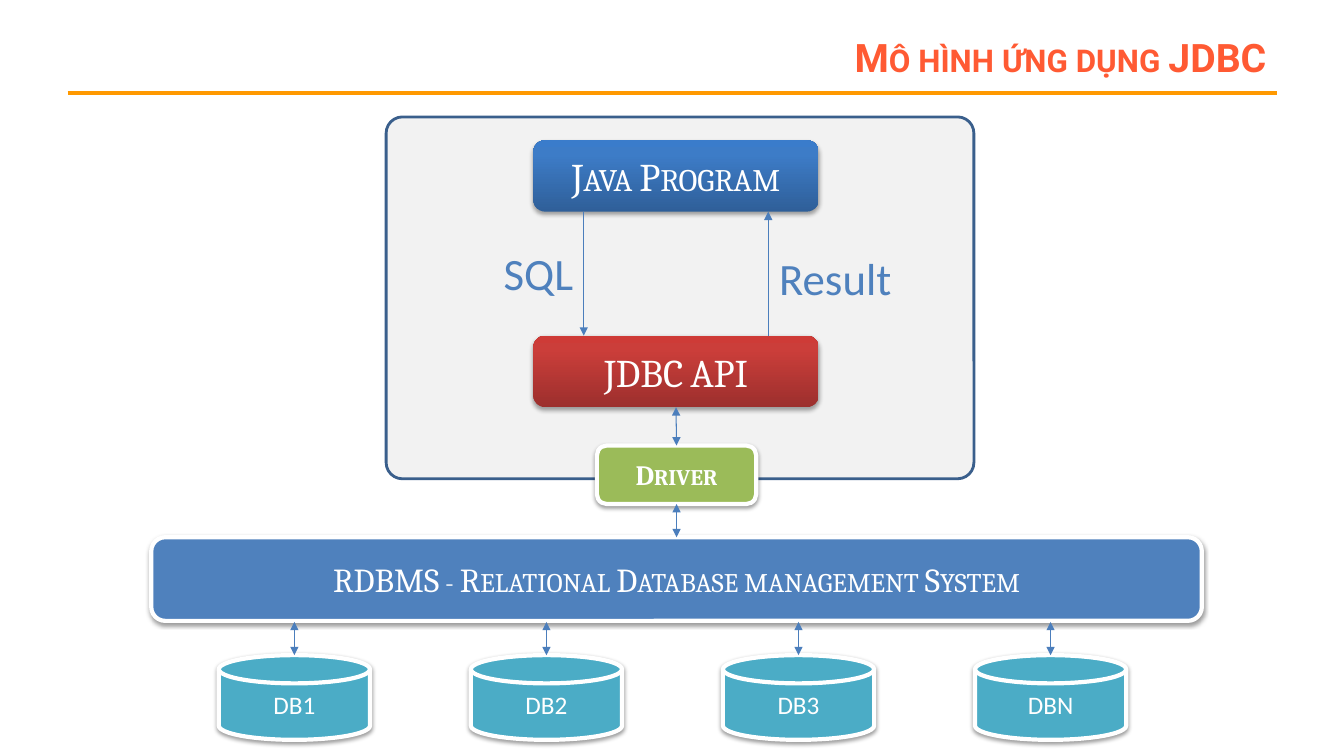
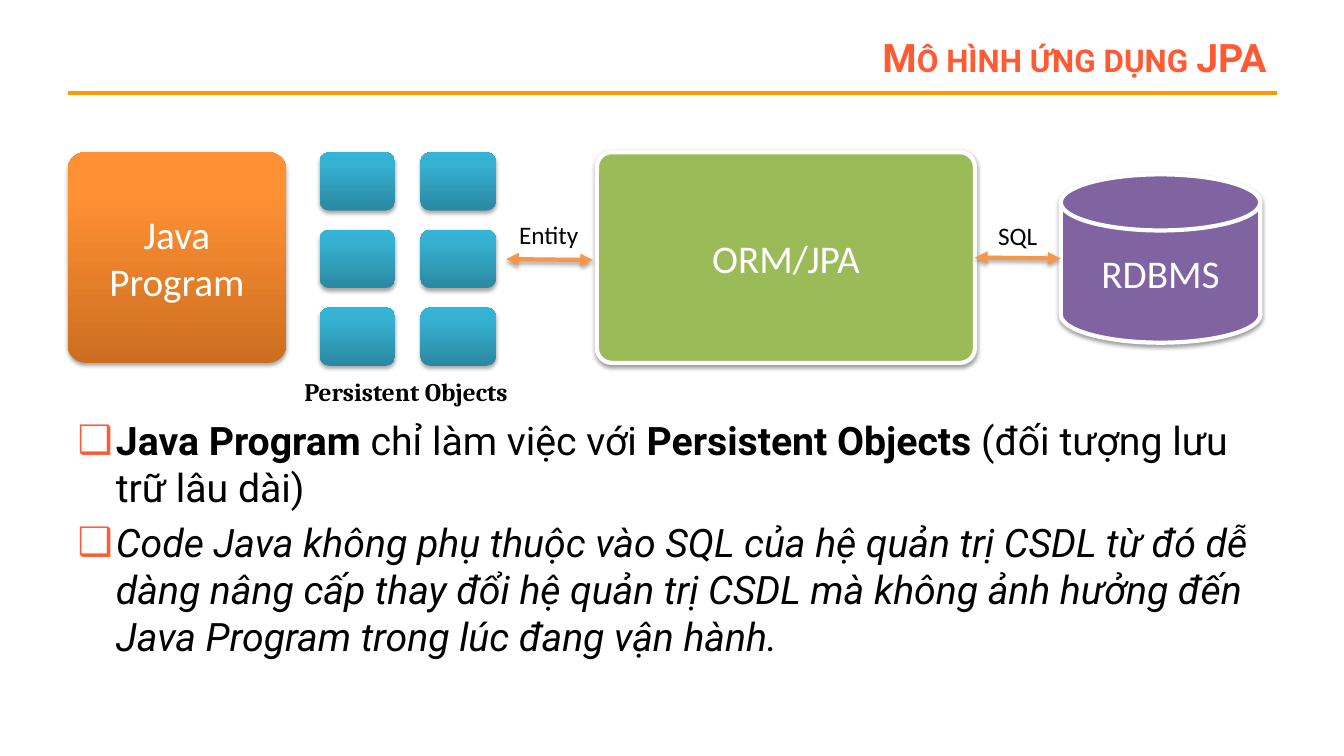
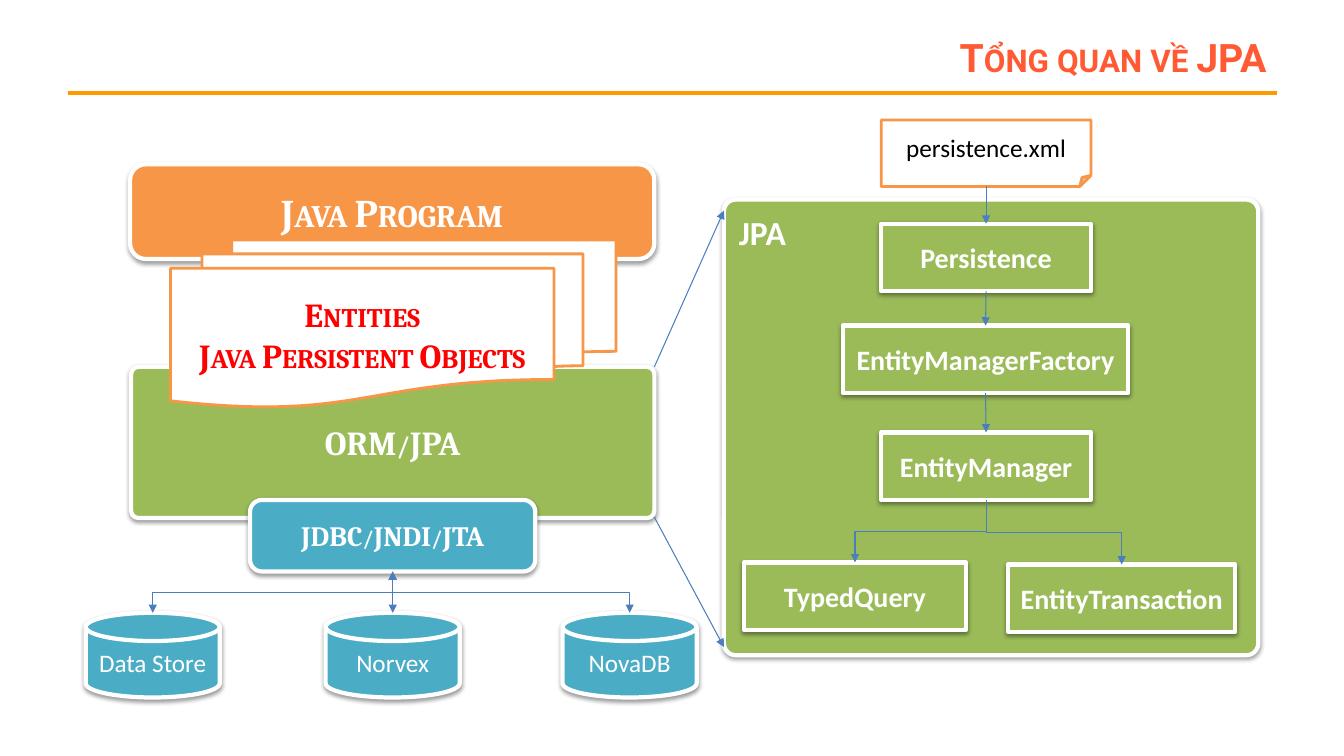
from lxml import etree
from pptx import Presentation
from pptx.dml.color import RGBColor
from pptx.enum.shapes import MSO_CONNECTOR, MSO_SHAPE
from pptx.enum.text import MSO_AUTO_SIZE, PP_ALIGN
from pptx.oxml.ns import qn
from pptx.util import Inches, Pt

ROUND, RECT = MSO_SHAPE.ROUNDED_RECTANGLE, MSO_SHAPE.RECTANGLE
DISK, FOLD = MSO_SHAPE.FLOWCHART_MAGNETIC_DISK, MSO_SHAPE.FOLDED_CORNER
PAGES = MSO_SHAPE.FLOWCHART_MULTIDOCUMENT
STRAIGHT, ELBOW = MSO_CONNECTOR.STRAIGHT, MSO_CONNECTOR.ELBOW
CENTER, LEFT = PP_ALIGN.CENTER, PP_ALIGN.LEFT
FIT, FIXED = MSO_AUTO_SIZE.SHAPE_TO_FIT_TEXT, MSO_AUTO_SIZE.NONE
TOP, WEST, BOTTOM, EAST = range(4)

CORAL, AMBER, WHITE, BLACK = "FF5A33", "FF9900", "FFFFFF", "000000"
BLUE, GREEN, TEAL, ORANGE = "4F81BD", "9BBB59", "4BACC6", "F79646"
WIRE = "4B7EBC"
SOFT, DEEP = (38, 3.1, 1.6), (35, 3.1, 1.8)


def solid(fill):
    return dict(fill=fill, edge=(WHITE, 3), shade=SOFT)


def shiny(*stops):
    return dict(fill=stops, shade=DEEP)


LOOKS = {
    "blue": solid(BLUE),
    "green": solid(GREEN),
    "teal": solid(TEAL),
    "orange": solid(ORANGE),
    "purple": solid("8064A2"),
    "panel": dict(fill="F2F2F2", edge=("3A5F8C", 2)),
    "paper": dict(fill=WHITE, edge=(ORANGE, 2)),
    "blue glow": shiny("2F5F99", "3D7CC7", "3A7CCB"),
    "red glow": shiny("9C2F2D", "CB3E3A", "CE3B37"),
    "orange glow": shiny("CC6E20", "FF9034", "FF9136"),
    "teal glow": shiny("2A88A2", "37B1D2", "34B4D6"),
}


def style(name, size, color=WHITE, bold=False, small=False):
    return dict(name=name, size=size, color=color, bold=bold, small=small)


FONTS = {
    "caps28": style("Cambria", 28, small=True),
    "caps24": style("Cambria", 24, small=True),
    "bold28": style("Cambria", 28, bold=True, small=True),
    "bold24": style("Cambria", 24, bold=True, small=True),
    "bold20": style("Cambria", 20, bold=True, small=True),
    "red24": style("Cambria", 24, "FF0000", True, True),
    "black18": style("Cambria", 18, BLACK, True),
    "plain28": style("Calibri", 28),
    "plain18": style("Calibri", 18),
    "note18": style("Calibri", 18, BLACK),
    "blue32": style("Calibri", 32, BLUE),
    "head24": style("Calibri", 24, bold=True),
    "class20": style("Calibri", 20, bold=True),
}

BASES = ["DB1", "DB2", "DB3", "DBN"]
STORES = [("Data Store", 0.85), ("Norvex", 3.23), ("NovaDB", 5.58)]
THICK = dict(color=ORANGE, width=3, shade=DEEP)
BOTH = dict(head=True, tail=True)

JDBC = dict(
    title="Mô hình ứng dụng JDBC",
    shapes=[
        ("panel", ROUND, (3.83, 1.16, 5.83, 3.59), "panel", "", None, 0.045),
        *[(name, DISK, (2.17 + 2.5 * i, 6.5, 1.5, 0.84), "teal", name, "plain18")
          for i, name in enumerate(BASES)],
        ("java", ROUND, (5.29, 1.39, 2.83, 0.71), "blue glow", "Java Program", "caps28"),
        ("api", ROUND, (5.29, 3.33, 2.83, 0.71), "red glow", "JDBC API", "caps28"),
        ("rdbms", ROUND, (1.5, 5.33, 10.42, 0.83), "blue",
         "RDBMS - Relational Database management System", "caps24"),
        ("driver", ROUND, (5.92, 4.42, 1.58, 0.58), "green", "Driver", "bold20"),
    ],
    links=[
        *[((name, TOP), (2.92 + 2.5 * i, 6.17), BOTH) for i, name in enumerate(BASES)],
        (("api", BOTTOM), ("driver", TOP), BOTH),
        (("driver", BOTTOM), ("rdbms", TOP), BOTH),
        ((5.79, 2.1), (5.79, 3.33), dict(tail=True)),
        ((7.62, 2.1), (7.62, 3.33), dict(head=True)),
    ],
    labels=[
        ("SQL", (4.89, 2.39, 0.9, 0.64), "blue32", CENTER),
        ("Result", (7.62, 2.44, 1.33, 0.64), "blue32", CENTER),
    ],
)

MODEL = dict(
    title="Mô hình ứng dụng JPA",
    body=[
        [("Java Program ", dict(bold=True)), ("chỉ làm việc với ", {}),
         ("Persistent Objects ", dict(bold=True)), ("(đối tượng lưu trữ lâu dài)", {})],
        [("Code Java không phụ thuộc vào SQL của hệ quản trị CSDL từ đó dễ dàng nâng cấp "
          "thay đổi hệ quản trị CSDL mà không ảnh hưởng đến Java Program trong lúc đang "
          "vận hành.", dict(italic=True))],
    ],
    shapes=[
        ("java", ROUND, (0.67, 1.51, 2.17, 2.09), "orange glow", "Java Program",
         "plain28", 0.085),
        *[(f"object{row}{col}", ROUND, (3.17 + col, 1.51 + 0.77 * row, 0.75, 0.58),
           "teal glow", "", None) for row in range(3) for col in range(2)],
        ("orm", ROUND, (5.92, 1.51, 3.75, 2.09), "green", "ORM/JPA", "plain28", 0.071),
        ("rdbms", DISK, (10.52, 1.73, 1.98, 1.67), "purple", "RDBMS", "plain28"),
    ],
    links=[
        (("orm", EAST), ("rdbms", WEST), BOTH | THICK),
        ((5.02, 2.57), (5.88, 2.58), BOTH | THICK),
    ],
    labels=[
        ("Persistent Objects", (2.92, 3.68, 2.3, 0.4), "black18", LEFT),
        ("SQL", (9.8, 2.14, 0.59, 0.4), "note18", LEFT),
        ("Entity", (5.05, 2.13, 0.8, 0.4), "note18", LEFT),
    ],
)

OVERVIEW = dict(
    title="Tổng quan về JPA",
    shapes=[
        ("java", ROUND, (1.29, 1.63, 5.2, 0.94), "orange", "Java Program", "bold28"),
        *[(name, DISK, (left, 6.08, 1.33, 0.84), "teal", name, "plain18")
          for name, left in STORES],
        ("orm", ROUND, (1.3, 3.64, 5.19, 1.5), "green", "ORM/JPA", "bold24", 0.049),
        ("entity", PAGES, (1.69, 2.38, 4.42, 1.66), "paper",
         "Entities\nJava Persistent Objects", "red24"),
        ("jdbc", ROUND, (2.48, 4.96, 2.83, 0.71), "teal", "JDBC/JNDI/JTA", "bold20"),
        ("jpa", ROUND, (7.18, 1.98, 5.3, 4.52), "green", "", None, 0.026),
        ("factory", RECT, (8.36, 3.23, 2.83, 0.67), "green", "EntityManagerFactory", "class20"),
        ("manager", RECT, (8.74, 4.29, 2.08, 0.67), "green", "EntityManager", "class20"),
        ("action", RECT, (10, 5.6, 2.25, 0.67), "green", "EntityTransaction", "class20"),
        ("query", RECT, (7.38, 5.58, 2.2, 0.67), "green", "TypedQuery", "class20"),
        ("start", RECT, (8.74, 2.22, 2.08, 0.67), "green", "Persistence", "class20"),
        ("config", FOLD, (8.74, 1.19, 2.08, 0.66), "paper", "persistence.xml", "note18"),
    ],
    links=[
        *[(("jdbc", BOTTOM), (name, TOP), BOTH | dict(bent=name != "Norvex"))
          for name, left in STORES],
        *[((one, BOTTOM), (two, TOP), dict(tail=True))
          for one, two in [("config", "start"), ("start", "factory"), ("factory", "manager")]],
        *[(("manager", BOTTOM), (name, TOP), dict(tail=True, bent=True))
          for name in ("action", "query")],
        ((6.49, 3.64), (7.18, 2.09), dict(tail=True)),
        ((6.49, 5.13), (7.18, 6.42), dict(tail=True)),
    ],
    labels=[("JPA", (7.23, 2.05, 0.67, 0.5), "head24", LEFT)],
)


def rgb(text):
    return RGBColor.from_string(text)


def assign(item, values):
    for key, value in values.items():
        setattr(item, key, value)


def node(parent, tag, **attrs):
    return etree.SubElement(parent, qn(tag), {k: str(v) for k, v in attrs.items()})


def place(shape, box):
    assign(shape, dict(zip(("left", "top", "width", "height"), map(Inches, box))))


def shadow(props, shade):
    effects = props.find(qn("a:effectLst"))
    if effects is None:
        effects = node(props, "a:effectLst")
    if shade:
        alpha, blur, dist = shade
        outer = node(effects, "a:outerShdw", blurRad=Pt(blur), dist=Pt(dist),
                     dir=5400000, rotWithShape=0)
        node(node(outer, "a:srgbClr", val=BLACK), "a:alpha", val=alpha * 1000)


def paint(shape, fill):
    if isinstance(fill, str):
        shape.fill.solid()
        shape.fill.fore_color.rgb = rgb(fill)
        return
    shape.fill.gradient()
    shape.fill.gradient_angle = 90
    stops = next(shape.element.iter(qn("a:gsLst")))
    stops.clear()
    for spot, color in zip((0, 80, 100), fill):
        node(node(stops, "a:gs", pos=spot * 1000), "a:srgbClr", val=color)


def write(frame, text, font, align):
    look = FONTS[font]
    frame.text = text
    for para in frame.paragraphs:
        para.alignment = align
        for run in para.runs:
            assign(run.font, dict(name=look["name"], size=Pt(look["size"]), bold=look["bold"]))
            run.font.color.rgb = rgb(look["color"])
            if look["small"]:
                run.font._element.set("cap", "small")


def draw(slide, kind, box, look, text, font, bend=None):
    shape = slide.shapes.add_shape(kind, *map(Inches, box))
    if bend:
        shape.adjustments[0] = bend
    style = LOOKS[look]
    paint(shape, style["fill"])
    if "edge" in style:
        color, width = style["edge"]
        shape.line.color.rgb = rgb(color)
        shape.line.width = Pt(width)
    else:
        shape.line.fill.background()
    shape.shadow.inherit = False
    shadow(shape.element.spPr, style.get("shade"))
    if text:
        write(shape.text_frame, text, font, CENTER)
    return shape


def locate(end, shapes):
    if not isinstance(end[0], str):
        return tuple(map(Inches, end))
    shape, side = shapes[end[0]], end[1]
    across, down = [(0.5, 0), (0, 0.5), (0.5, 1), (1, 0.5)][side]
    return (int(shape.left + shape.width * across), int(shape.top + shape.height * down))


def turn(line, start, stop):
    (x1, y1), (x2, y2) = start, stop
    width, height = abs(y2 - y1), abs(x2 - x1)
    assign(line, dict(left=(x1 + x2 - width) // 2, top=(y1 + y2 - height) // 2,
                      width=width, height=height))
    right = x2 > x1
    frame = line.element.spPr.find(qn("a:xfrm"))
    for key, value in dict(rot=16200000 if right else 5400000,
                           flipH=int(right), flipV=0).items():
        frame.set(key, str(value))


def link(slide, shapes, first, last, head=False, tail=False, bent=False,
         color=WIRE, width=0.75, shade=None):
    start, stop = locate(first, shapes), locate(last, shapes)
    line = slide.shapes.add_connector(ELBOW if bent else STRAIGHT, *start, *stop)
    for end, join in ((first, line.begin_connect), (last, line.end_connect)):
        if isinstance(end[0], str) and shapes[end[0]].auto_shape_type != DISK:
            join(shapes[end[0]], end[1])
    if bent:
        turn(line, start, stop)
    line.line.color.rgb = rgb(color)
    line.line.width = Pt(width)
    props = line.element.spPr
    for tag, shown in (("a:headEnd", head), ("a:tailEnd", tail)):
        if shown:
            node(props.find(qn("a:ln")), tag, type="triangle")
    shadow(props, shade)
    return line


def level(master, tag, color, **attrs):
    para = next(master.element.iter(qn(tag))).find(qn("a:lvl1pPr"))
    base = para.find(qn("a:defRPr"))
    for key, value in attrs.items():
        base.set(key, str(value))
    fill = base.find(qn("a:solidFill"))
    fill.clear()
    node(fill, "a:srgbClr", val=color)
    base.find(qn("a:latin")).set("typeface", "Roboto")
    return para


def theme(master):
    for holder, box in zip(master.placeholders, [(2.44, 0.3, 10.22, 0.53), (0.67, 4.08, 12, 2.83)]):
        place(holder, box)
        holder.text_frame.auto_size = FIXED
    head = level(master, "p:titleStyle", CORAL, sz=2800, b=1, cap="small")
    head.set("algn", "r")
    body = level(master, "p:bodyStyle", BLACK, sz=2800)
    body.set("marL", str(Inches(0.38)))
    body.set("indent", str(-Inches(0.38)))
    tint = node(body, "a:buClr")
    node(tint, "a:srgbClr", val=CORAL)
    body.find(qn("a:buFont")).addprevious(tint)
    body.find(qn("a:buChar")).set("char", "❑")


def build(deck, page):
    slide = deck.slides.add_slide(deck.slide_layouts[1 if "body" in page else 5])
    slide.shapes.title.text = page["title"]
    if "body" in page:
        frame = slide.placeholders[1].text_frame
        for i, runs in enumerate(page["body"]):
            para = frame.add_paragraph() if i else frame.paragraphs[0]
            for text, form in runs:
                run = para.add_run()
                run.text = text
                assign(run.font, form)
    shapes = {name: draw(slide, *rest) for name, *rest in page["shapes"]}
    for first, last, form in page["links"]:
        link(slide, shapes, first, last, **form)
    for text, box, font, align in page["labels"]:
        frame = slide.shapes.add_textbox(*map(Inches, box)).text_frame
        write(frame, text, font, align)
        assign(frame, dict(word_wrap=False, auto_size=FIT))
    return slide


def main():
    deck = Presentation()
    assign(deck, dict(slide_width=Inches(13.33), slide_height=Inches(7.5)))
    theme(deck.slide_master)
    slides = [build(deck, page) for page in (JDBC, MODEL, OVERVIEW)]
    rule = link(slides[0], {}, (0.67, 0.92), (12.67, 0.92), color=AMBER, width=3)
    deck.slide_master.shapes.element.append(rule.element)
    deck.save("out.pptx")


if __name__ == "__main__":
    main()
